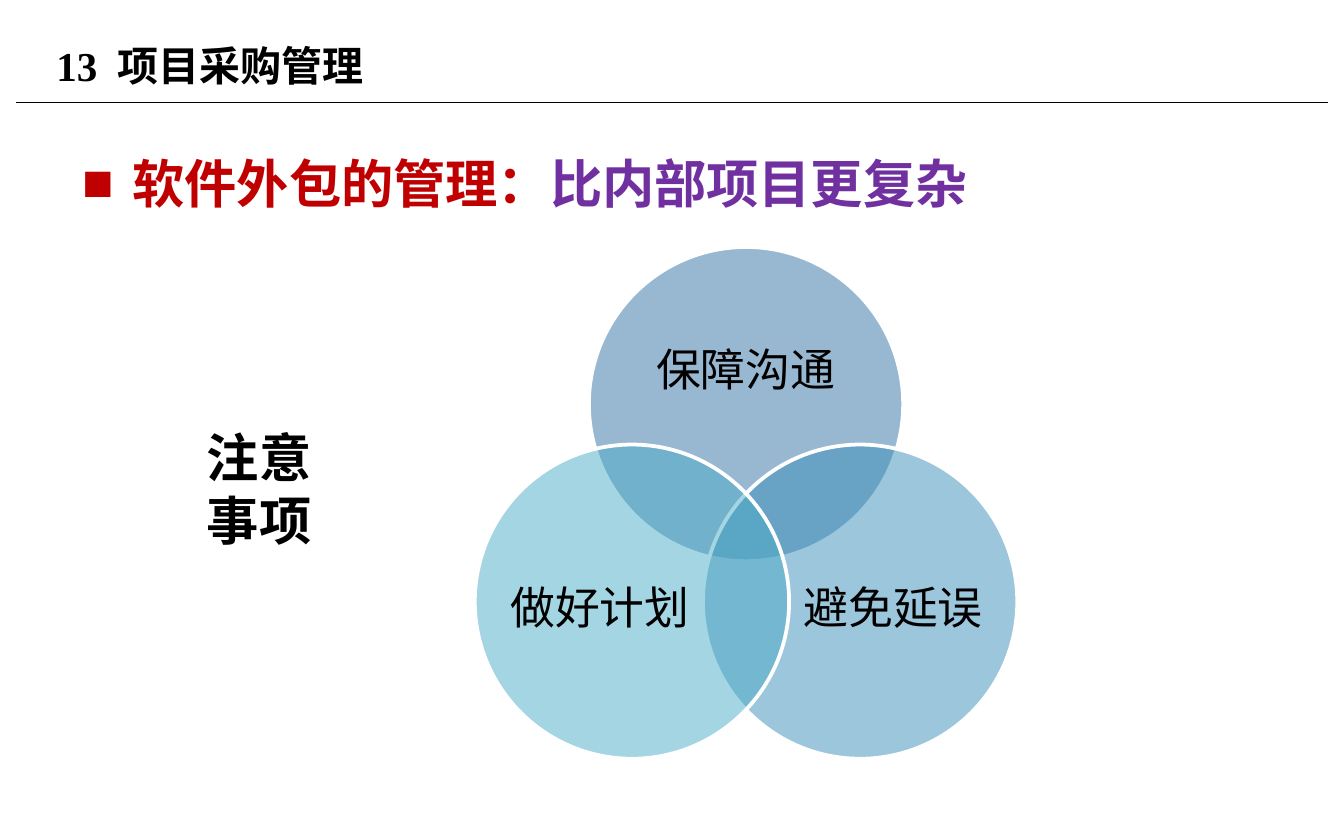
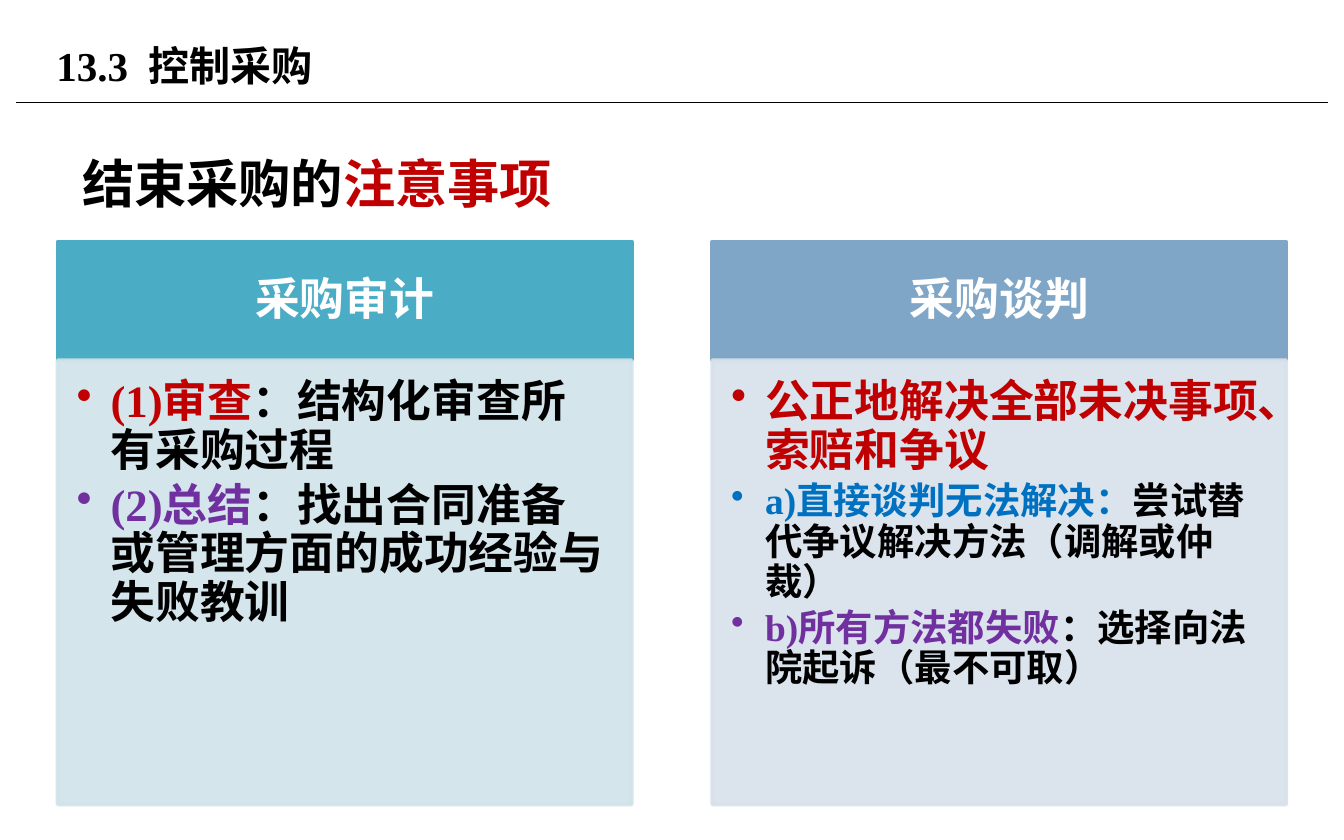
from math import cos, radians, sin

from lxml.etree import SubElement
from pptx import Presentation
from pptx.dml.color import RGBColor
from pptx.enum.shapes import MSO_CONNECTOR, MSO_SHAPE
from pptx.enum.text import MSO_ANCHOR, MSO_AUTO_SIZE, PP_ALIGN
from pptx.oxml.ns import qn
from pptx.util import Cm, Pt

BLACK = RGBColor(0x00, 0x00, 0x00)
WHITE = RGBColor(0xFF, 0xFF, 0xFF)
RED = RGBColor(0xC0, 0x00, 0x00)
PURPLE = RGBColor(0x70, 0x30, 0xA0)
BLUE = RGBColor(0x00, 0x70, 0xC0)
TEAL = RGBColor(0x4B, 0xAC, 0xC6)
PALE_TEAL = RGBColor(0xD0, 0xE3, 0xEA)
STEEL = RGBColor(0x7F, 0xA6, 0xC7)
PALE_STEEL = RGBColor(0xD8, 0xE1, 0xEB)
DEEP_BLUE = RGBColor(0x33, 0x71, 0xA4)
MID_BLUE = RGBColor(0x3A, 0x8F, 0xBA)

SERIF = "Times New Roman"
SANS = "Lato"


def write_text(box, paragraphs, size=24, font=SERIF, bold=True, align=PP_ALIGN.LEFT,
               anchor=MSO_ANCHOR.TOP, wrap=True, spacing=1.0, after=0.0,
               bullet=None, indent=0.0, insets=None):
    """Fill a shape with paragraphs, each a list of (text, colour[, size]) spans.

    after is a share of the text size; indent and insets are in centimetres.
    """
    frame = box.text_frame
    frame.auto_size = MSO_AUTO_SIZE.NONE
    frame.word_wrap = wrap
    frame.vertical_anchor = anchor
    if insets:
        (frame.margin_left, frame.margin_top,
         frame.margin_right, frame.margin_bottom) = [Cm(inset) for inset in insets]
    for index, spans in enumerate(paragraphs):
        para = frame.add_paragraph() if index else frame.paragraphs[0]
        para.alignment = align
        para.line_spacing = spacing
        para.space_before = Pt(0)
        for text, colour, *own_size in spans:
            span = para.add_run()
            span.text = text
            span.font.name = font
            span.font.bold = bold
            span.font.size = Pt(own_size[0] if own_size else size)
            span.font.color.rgb = colour
        para.space_after = Pt(after * span.font.size.pt)
        set_bullet(para, bullet, indent)


def set_bullet(para, bullet, indent):
    """Give a paragraph a hanging bullet, or take its bullet away."""
    properties = para._p.get_or_add_pPr()
    properties.set("marL", str(Cm(indent)))
    properties.set("indent", str(-Cm(indent)))
    if bullet:
        SubElement(properties, qn("a:buChar"), char=bullet)
    else:
        SubElement(properties, qn("a:buNone"))


def add_filled(page, kind, place, fill, line, opacity=100, line_opacity=100):
    """Add a preset shape with a 2 pt line; opacities are percentages."""
    shape = page.shapes.add_shape(kind, *[Cm(length) for length in place])
    shape.shadow.inherit = False
    shape.fill.solid()
    shape.fill.fore_color.rgb = fill
    shape.line.color.rgb = line
    shape.line.width = Pt(2)
    colours = shape._element.spPr.iter(qn("a:srgbClr"))
    for colour, percent in zip(list(colours), (opacity, line_opacity)):
        if percent < 100:
            SubElement(colour, qn("a:alpha"), val=str(percent * 1000))
    return shape


def add_label(page, place, paragraphs, **text_format):
    """Add a text box with formatted text."""
    box = page.shapes.add_textbox(*[Cm(length) for length in place])
    write_text(box, paragraphs, font=SANS, **text_format)


def place_placeholder(placeholder, left, top, width, height):
    """Move and size a placeholder, in centimetres."""
    placeholder.left, placeholder.top = Cm(left), Cm(top)
    placeholder.width, placeholder.height = Cm(width), Cm(height)


def add_page(deck, title, heading, **heading_format):
    """Add a page with its title, the rule under it and a heading."""
    page = deck.slides.add_slide(deck.slide_layouts[1])
    rule = page.shapes.add_connector(MSO_CONNECTOR.STRAIGHT,
                                     Cm(0.3), Cm(1.94), Cm(25.1), Cm(1.94))
    rule.line.color.rgb = BLACK
    rule.line.width = Pt(0.75)
    SubElement(rule._element.spPr, qn("a:effectLst"))
    place_placeholder(page.shapes.title, 0.81, 0.33, 16.2, 1.8)
    write_text(page.shapes.title, [[(title, BLACK)]], size=22, anchor=MSO_ANCHOR.MIDDLE)
    body = page.placeholders[1]
    place_placeholder(body, 1.3, 2.13, 22.8, 9.9)
    write_text(body, [heading], size=28, spacing=1.5, **heading_format)
    return page


def add_venn(page, circles):
    """Add three overlapping circles, spread evenly around one centre."""
    centre_x, centre_y, distance, diameter = 14.1, 10.13, 2.49, 5.94
    for index, (text, fill, label_place) in enumerate(circles):
        angle = radians(120 * index)
        left = centre_x + distance * sin(angle) - diameter / 2
        top = centre_y - distance * cos(angle) - diameter / 2
        add_filled(page, MSO_SHAPE.OVAL, (left, top, diameter, diameter),
                   fill, WHITE, opacity=50)
        add_label(page, label_place, [[(text, BLACK)]], bold=False, spacing=0.9,
                  align=PP_ALIGN.CENTER, anchor=MSO_ANCHOR.MIDDLE, after=0.35,
                  insets=(0, 0, 0, 0))


def add_column(page, left, title, points, colour, pale):
    """Add a column: a coloured header above a pale panel of bullets."""
    top, width, header_height, panel_height = 4.57, 10.85, 2.24, 8.4
    header = add_filled(page, MSO_SHAPE.RECTANGLE, (left, top, width, header_height),
                        colour, colour)
    write_text(header, [[(title, WHITE)]], align=PP_ALIGN.CENTER,
               anchor=MSO_ANCHOR.MIDDLE, spacing=0.9, after=0.35,
               insets=(0.48, 0.28, 0.48, 0.28))
    panel = add_filled(page, MSO_SHAPE.RECTANGLE,
                       (left, top + header_height, width, panel_height),
                       pale, pale, opacity=90, line_opacity=90)
    write_text(panel, points, spacing=0.9, after=0.15, bullet="•", indent=0.64,
               insets=(0.36, 0.36, 0.48, 0.53))


def build_outsourcing(deck):
    """Build the page on managing outsourced software."""
    heading = [("软件外包的管理：", RED), ("比内部项目更复杂", PURPLE)]
    page = add_page(deck, "13  项目采购管理", heading, bullet="■", indent=0.95)
    add_venn(page, [
        ("保障沟通", DEEP_BLUE, (11.91, 5.69, 4.37, 2.67)),
        ("避免延误", MID_BLUE, (15.09, 9.9, 3.58, 3.28)),
        ("做好计划", TEAL, (9.55, 9.9, 3.58, 3.28)),
    ])
    add_label(page, (3.66, 7.92, 2.51, 2.64), [[("注意", BLACK)], [("事项", BLACK)]],
              size=28, wrap=False)


def build_closing(deck):
    """Build the page on closing a procurement."""
    heading = [("结束采购的", BLACK), ("注意事项", RED)]
    page = add_page(deck, "13.3  控制采购", heading)
    audit = [
        [("(1)审查", RED), ("：结构化审查所有采购过程", BLACK)],
        [("(2)总结", PURPLE), ("：找出合同准备或管理方面的成功经验与失败教训", BLACK)],
    ]
    negotiation = [
        [("公正地解决全部未决事项、索赔和争议", RED)],
        [("a)直接谈判无法解决：", BLUE, 20),
         ("尝试替代争议解决方法（调解或仲裁）", BLACK, 20)],
        [("b)所有方法都失败", PURPLE, 20),
         ("：选择向法院起诉（最不可取）", BLACK, 20)],
    ]
    add_column(page, 1.09, "采购审计", audit, TEAL, PALE_TEAL)
    add_column(page, 13.46, "采购谈判", negotiation, STEEL, PALE_STEEL)


def main():
    """Build and save the deck."""
    deck = Presentation()
    deck.slide_width, deck.slide_height = Cm(25.4), Cm(15.88)
    build_outsourcing(deck)
    build_closing(deck)
    deck.save("out.pptx")


main()
